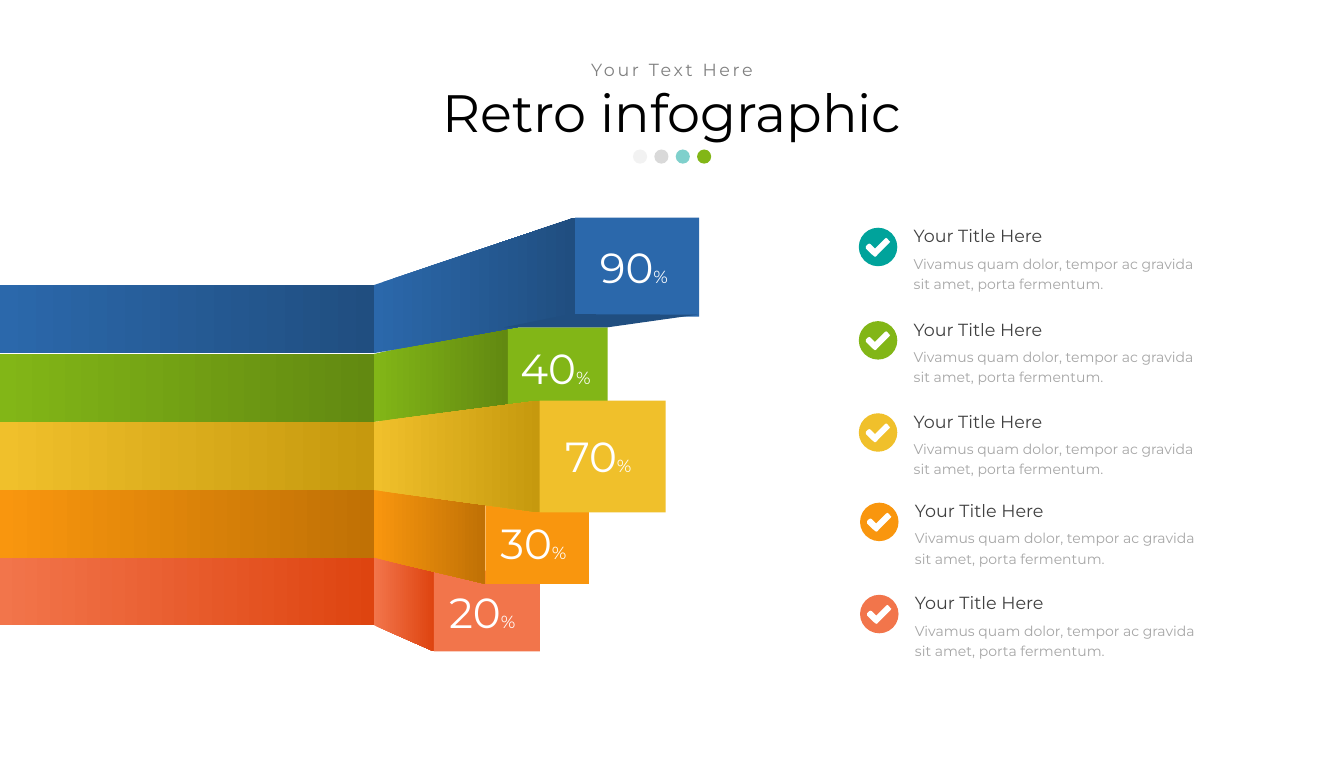
"""Build the retro ribbon infographic slide with its check list."""
import dataclasses
import typing

import lxml.etree
import pptx
import pptx.dml.color
import pptx.enum.shapes
import pptx.enum.text
import pptx.oxml.ns
import pptx.util

Cm = pptx.util.Cm
Pt = pptx.util.Pt
PRESET = pptx.enum.shapes.MSO_SHAPE
FIT = pptx.enum.text.MSO_AUTO_SIZE
CENTER = pptx.enum.text.PP_ALIGN.CENTER
MIDDLE = pptx.enum.text.MSO_ANCHOR.MIDDLE

COLORS = {
    "black": "000000", "white": "FFFFFF", "dark": "404040", "mid": "808080", "soft": "A6A6A6",
    "pale": "F2F2F2", "silver": "D9D9D9", "teal": "00A39B",
    "blue": "2B68AB", "blue_deep": "204E80",
    "green": "82B617", "green_deep": "628911",
    "yellow": "F0C02B", "yellow_deep": "C6990E",
    "orange": "F9960E", "orange_deep": "C07105",
    "coral": "F2754B", "coral_deep": "DE4410",
}
FONT = "Montserrat"
STRIP_WIDTH, STRIP_HEIGHT = 15.05, 2.74
ICON_SIZE = 1.55
CHECK_MARK = [
    (0.94, 0.2), (0.48, 0.66), (0.41, 0.74), (0.36, 0.76), (0.33, 0.74), (0.23, 0.66),
    (0, 0.43), (0, 0.33), (0.08, 0.25), (0.13, 0.23), (0.18, 0.25), (0.36, 0.43),
    (0.76, 0.03), (0.81, 0), (0.86, 0.03), (0.94, 0.13), (0.97, 0.15),
]
UNDERSIDE = [(22.96, 12.65), (28.07, 12.67), (24.46, 13.18), (20.29, 13.18)]


class Box(typing.NamedTuple):
    left: float
    top: float
    width: float
    height: float


@dataclasses.dataclass
class Ribbon:
    color: str
    strip_top: float
    face: Box
    value: str
    value_at: tuple[float, float]


@dataclasses.dataclass
class CheckItem:
    color: str
    left: float
    top: float


@dataclasses.dataclass
class Dot:
    color: str
    opacity: int = 100


RIBBONS = [
    Ribbon("coral", 22.43, Box(17.47, 22.98, 4.26, 3.25), "20", (17.83, 23.47)),
    Ribbon("orange", 19.71, Box(19.54, 20.26, 4.17, 3.25), "30", (19.89, 20.73)),
    Ribbon("green", 14.25, Box(20.44, 13.18, 4.02, 3.25), "40", (20.7, 13.67)),
    Ribbon("yellow", 16.99, Box(21.72, 16.13, 5.08, 4.5), "70", (22.5, 17.22)),
    Ribbon("blue", 11.48, Box(23.15, 8.76, 4.99, 3.99), "90", (23.9, 9.6)),
]
CHECK_ITEMS = [
    CheckItem("teal", 34.57, 9.17),
    CheckItem("green", 34.57, 12.93),
    CheckItem("yellow", 34.57, 16.64),
    CheckItem("orange", 34.62, 20.24),
    CheckItem("coral", 34.62, 23.95),
]
DOTS = [Dot("pale"), Dot("silver", 98), Dot("teal", 50), Dot("green")]


def apply(target: typing.Any, formats: dict[str, typing.Any]) -> None:
    for name, value in formats.items():
        setattr(target, name, value)


def rgb(color: str) -> pptx.dml.color.RGBColor:
    return pptx.dml.color.RGBColor.from_string(COLORS[color])


def paint(shape: typing.Any, color: str, end: str = "") -> typing.Any:
    shape.shadow.inherit = False
    shape.line.fill.background()
    if end:
        shape.fill.gradient()
        shape.fill.gradient_angle = 0
        for stop, stop_color in zip(shape.fill.gradient_stops, (color, end)):
            stop.color.rgb = rgb(stop_color)
    else:
        shape.fill.solid()
        shape.fill.fore_color.rgb = rgb(color)
    return shape


def add_preset(slide: typing.Any, preset: typing.Any, box: Box, color: str, end: str = "") -> typing.Any:
    return paint(slide.shapes.add_shape(preset, *map(Cm, box)), color, end)


def add_outline(slide: typing.Any, points: list[tuple[float, float]], color: str, end: str = "") -> None:
    corners = [(Cm(x), Cm(y)) for x, y in points]
    builder = slide.shapes.build_freeform(*corners[0])
    builder.add_line_segments(corners[1:], close=True)
    paint(builder.convert_to_shape(), color, end)


def add_run(paragraph: typing.Any, text: str, size: float, color: str) -> typing.Any:
    run = paragraph.add_run()
    run.text = text
    apply(run.font, {"name": FONT, "size": Pt(size), "bold": False})
    run.font.color.rgb = rgb(color)
    return run


def add_text(slide: typing.Any, box: Box, runs: list[tuple[str, float, str]],
             wrap: bool = True, spacing: float = 1.0) -> None:
    frame = slide.shapes.add_textbox(*map(Cm, box)).text_frame
    apply(frame, {"word_wrap": wrap, "auto_size": FIT.SHAPE_TO_FIT_TEXT})
    frame.paragraphs[0].line_spacing = spacing
    for run in runs:
        add_run(frame.paragraphs[0], *run)


def fill_placeholder(holder: typing.Any, box: Box, text: str, size: float, color: str) -> typing.Any:
    apply(holder, dict(zip(box._fields, map(Cm, box))))
    apply(holder.text_frame, {"word_wrap": True, "auto_size": FIT.NONE, "vertical_anchor": MIDDLE})
    paragraph = holder.text_frame.paragraphs[0]
    properties = paragraph._p.get_or_add_pPr()
    apply(paragraph, {"alignment": CENTER, "line_spacing": 0.9, "space_before": Pt(0)})
    for name in ("marL", "indent"):
        properties.set(name, "0")
    lxml.etree.SubElement(properties, pptx.oxml.ns.qn("a:buNone"))
    return add_run(paragraph, text, size, color)


def draw_dot(slide: typing.Any, dot: Dot, index: int) -> None:
    shape = add_preset(slide, PRESET.OVAL, Box(25.48 + 0.86 * index, 6.02, 0.57, 0.57), dot.color)
    if dot.opacity < 100:
        tint = shape.fill._xPr.find(".//" + pptx.oxml.ns.qn("a:srgbClr"))
        lxml.etree.SubElement(tint, pptx.oxml.ns.qn("a:alpha")).set("val", str(dot.opacity * 1000))


def draw_ribbon(slide: typing.Any, ribbon: Ribbon) -> None:
    face, deep = ribbon.face, ribbon.color + "_deep"
    fold = [
        (STRIP_WIDTH, ribbon.strip_top),
        (face.left, face.top),
        (face.left, face.top + face.height),
        (STRIP_WIDTH, ribbon.strip_top + STRIP_HEIGHT),
    ]
    strip = Box(0, ribbon.strip_top, STRIP_WIDTH, STRIP_HEIGHT)
    add_preset(slide, PRESET.RECTANGLE, strip, ribbon.color, deep)
    add_outline(slide, fold, ribbon.color, deep)
    add_preset(slide, PRESET.RECTANGLE, face, ribbon.color)


def draw_check_item(slide: typing.Any, item: CheckItem) -> None:
    text_left = item.left + 1.96
    add_preset(slide, PRESET.OVAL, Box(item.left, item.top, ICON_SIZE, ICON_SIZE), item.color)
    add_outline(slide, [(item.left + 0.29 + x, item.top + 0.41 + y) for x, y in CHECK_MARK], "white")
    add_text(slide, Box(text_left, item.top - 0.4, 7.42, 1.27),
             [("Your Title Here", 20, "dark")], spacing=1.2)
    add_text(slide, Box(text_left, item.top + 0.84, 12.09, 1.9),
             [("Vivamus quam dolor, tempor ac gravida sit amet, porta fermentum.", 16, "soft")], spacing=1.2)


def main() -> None:
    deck = pptx.Presentation()
    apply(deck, {"slide_width": Cm(54.1), "slide_height": Cm(30.48)})
    slide = deck.slides.add_slide(deck.slide_layouts[1])
    fill_placeholder(slide.shapes.title, Box(2.59, 3.33, 48.92, 2.62), "Retro infographic", 60, "black")
    subtitle = fill_placeholder(slide.placeholders[1], Box(19, 2.41, 16.1, 0.89), "Your Text Here", 20, "mid")
    subtitle._r.get_or_add_rPr().set("spc", "300")
    for index, dot in enumerate(DOTS):
        draw_dot(slide, dot, index)
    for item in CHECK_ITEMS:
        draw_check_item(slide, item)
    for ribbon in RIBBONS:
        draw_ribbon(slide, ribbon)
    add_outline(slide, UNDERSIDE, "blue_deep")
    for ribbon in RIBBONS:
        add_text(slide, Box(*ribbon.value_at, 3.48, 2.31),
                 [(ribbon.value, 48, "white"), ("%", 20, "white")], wrap=False)
    deck.save("out.pptx")


if __name__ == "__main__":
    main()
